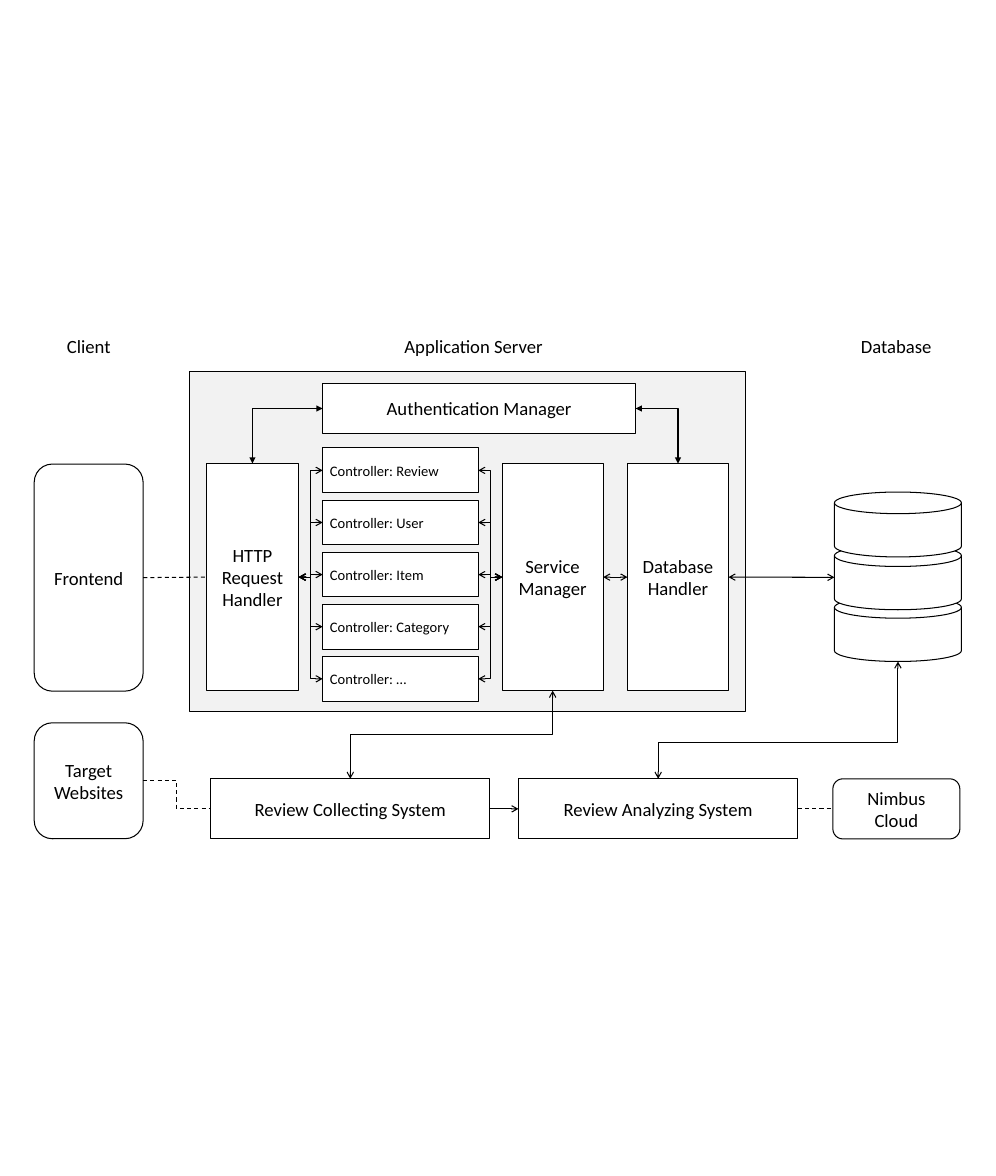
from lxml import etree
from pptx import Presentation
from pptx.dml.color import RGBColor
from pptx.enum.dml import MSO_LINE
from pptx.enum.shapes import MSO_CONNECTOR, MSO_SHAPE
from pptx.enum.text import MSO_ANCHOR, PP_ALIGN
from pptx.oxml.ns import qn
from pptx.util import Pt

BLACK = RGBColor(0x00, 0x00, 0x00)
WHITE = RGBColor(0xFF, 0xFF, 0xFF)
LIGHT_GRAY = RGBColor(0xF2, 0xF2, 0xF2)
RECTANGLE = MSO_SHAPE.RECTANGLE
PROCESS = MSO_SHAPE.FLOWCHART_PROCESS
ROUNDED = MSO_SHAPE.ROUNDED_RECTANGLE
DISK = MSO_SHAPE.FLOWCHART_MAGNETIC_DISK
STRAIGHT = MSO_CONNECTOR.STRAIGHT
ELBOW = MSO_CONNECTOR.ELBOW
DASH = MSO_LINE.DASH
CENTER = PP_ALIGN.CENTER
LEFT_ALIGNED = PP_ALIGN.LEFT
MIDDLE = MSO_ANCHOR.MIDDLE
TOP, LEFT, BOTTOM, RIGHT = range(4)


def side(shape, index):
    center_x = shape.left + shape.width // 2
    center_y = shape.top + shape.height // 2
    return (
        (center_x, shape.top),
        (shape.left, center_y),
        (center_x, shape.top + shape.height),
        (shape.left + shape.width, center_y),
    )[index]


class Diagram:
    font = "Calibri"
    size = 18
    line_width = Pt(1)

    def __init__(self, slide):
        self.slide = slide

    def add_lines(self, frame, lines, size, alignment):
        frame.word_wrap = True
        for index, line in enumerate(lines):
            paragraph = frame.add_paragraph() if index else frame.paragraphs[0]
            paragraph.alignment = alignment
            run = paragraph.add_run()
            run.text = line
            run.font.name = self.font
            run.font.size = Pt(size)
            run.font.color.rgb = BLACK

    def label(self, text, left, width):
        box = self.slide.shapes.add_textbox(Pt(left), Pt(319), Pt(width), Pt(29))
        self.add_lines(box.text_frame, [text], self.size, CENTER)

    def block(self, kind, left, top, width, height, lines=(), size=size,
              alignment=CENTER, fill=WHITE):
        shape = self.slide.shapes.add_shape(kind, Pt(left), Pt(top), Pt(width), Pt(height))
        shape.shadow.inherit = False
        shape.fill.solid()
        shape.fill.fore_color.rgb = fill
        shape.line.color.rgb = BLACK
        shape.line.width = self.line_width
        shape.text_frame.vertical_anchor = MIDDLE
        self.add_lines(shape.text_frame, lines, size, alignment)
        return shape

    def connector(self, kind, start, end, head=None, tail=None, dashed=False):
        connector = self.slide.shapes.add_connector(kind, *start, *end)
        connector.line.color.rgb = BLACK
        connector.line.width = self.line_width
        if dashed:
            connector.line.dash_style = DASH
        properties = connector._element.spPr
        outline = properties.find(qn("a:ln"))
        for tag, arrow in (("a:headEnd", head), ("a:tailEnd", tail)):
            if arrow:
                etree.SubElement(outline, qn(tag), type=arrow)
        etree.SubElement(properties, qn("a:effectLst"))
        return connector

    def straight(self, source, target, **style):
        connector = self.connector(
            STRAIGHT, side(source, RIGHT), side(target, LEFT), **style)
        connector.begin_connect(source, RIGHT)
        if target.auto_shape_type != DISK:
            connector.end_connect(target, LEFT)

    def elbow(self, source, target, **style):
        self.connector(ELBOW, side(source, RIGHT), side(target, LEFT), **style)

    def corner(self, start, end):
        connector = self.connector(ELBOW, start, end, "triangle", "triangle")
        connector._element.spPr.find(qn("a:prstGeom")).set("prst", "bentConnector2")

    def drop(self, source, target, bend):
        (start_x, start_y), (end_x, end_y) = side(source, BOTTOM), side(target, TOP)
        center_x, center_y = (start_x + end_x) // 2, (start_y + end_y) // 2
        half_width, half_height = (end_y - start_y) // 2, (start_x - end_x) // 2
        connector = self.connector(
            ELBOW,
            (center_x - half_width, center_y - half_height),
            (center_x + half_width, center_y + half_height),
            "arrow", "arrow")
        properties = connector._element.spPr
        properties.find(qn("a:xfrm")).set("rot", "5400000")
        guides = properties.find(qn("a:prstGeom")).find(qn("a:avLst"))
        etree.SubElement(guides, qn("a:gd"), name="adj1", fmla=f"val {round(bend * 100000)}")


def main():
    presentation = Presentation()
    presentation.slide_width = Pt(960)
    presentation.slide_height = Pt(1134)
    slide = presentation.slides.add_slide(presentation.slide_layouts[6])
    diagram = Diagram(slide)
    both_arrows = {"head": "arrow", "tail": "arrow"}

    diagram.block(RECTANGLE, 183, 358.5, 535.5, 327.5, fill=LIGHT_GRAY)
    for text, left, width in (
        ("Client", 28, 115),
        ("Application Server", 374.5, 164),
        ("Database", 813, 101.5),
    ):
        diagram.label(text, left, width)

    disks = [diagram.block(DISK, 804.3, top, 122.4, 62.6) for top in (575.3, 525.4, 474.5)]

    frontend = diagram.block(ROUNDED, 33, 447.5, 105, 219, ["Frontend"])
    websites = diagram.block(ROUNDED, 33, 697, 105, 111.8, ["Target", "Websites"])
    http_handler = diagram.block(PROCESS, 198.7, 447, 89.3, 219, ["HTTP Request Handler"])
    service = diagram.block(PROCESS, 484, 447, 97.4, 219, ["Service", "Manager"])
    database_handler = diagram.block(
        PROCESS, 604.8, 447, 97.4, 219, ["Database", "Handler"])
    authentication = diagram.block(
        PROCESS, 311, 369.4, 301.7, 49, ["Authentication Manager"])
    collecting = diagram.block(PROCESS, 203, 751, 269.3, 58, ["Review Collecting System"])
    analyzing = diagram.block(PROCESS, 499.7, 751, 269.3, 58, ["Review Analyzing System"])
    cloud = diagram.block(ROUNDED, 802.8, 751, 122.4, 58, ["Nimbus", "Cloud"])

    for row, name in enumerate(("Review", "User", "Item", "Category", "…")):
        controller = diagram.block(
            PROCESS, 311, 432 + 50.25 * row, 150, 43.2,
            [f"Controller: {name}"], 14, LEFT_ALIGNED)
        diagram.elbow(http_handler, controller, **both_arrows)
        diagram.elbow(controller, service, **both_arrows)

    diagram.straight(frontend, http_handler, dashed=True)
    diagram.straight(service, database_handler, **both_arrows)
    diagram.straight(database_handler, disks[1], **both_arrows)
    diagram.straight(collecting, analyzing, tail="arrow")
    diagram.straight(analyzing, cloud, dashed=True)
    diagram.elbow(websites, collecting, dashed=True)
    diagram.corner(side(authentication, LEFT), side(http_handler, TOP))
    diagram.corner(side(authentication, RIGHT), side(database_handler, TOP))
    diagram.drop(service, collecting, 0.5)
    diagram.drop(disks[0], analyzing, 0.69)

    presentation.save("out.pptx")


if __name__ == "__main__":
    main()
